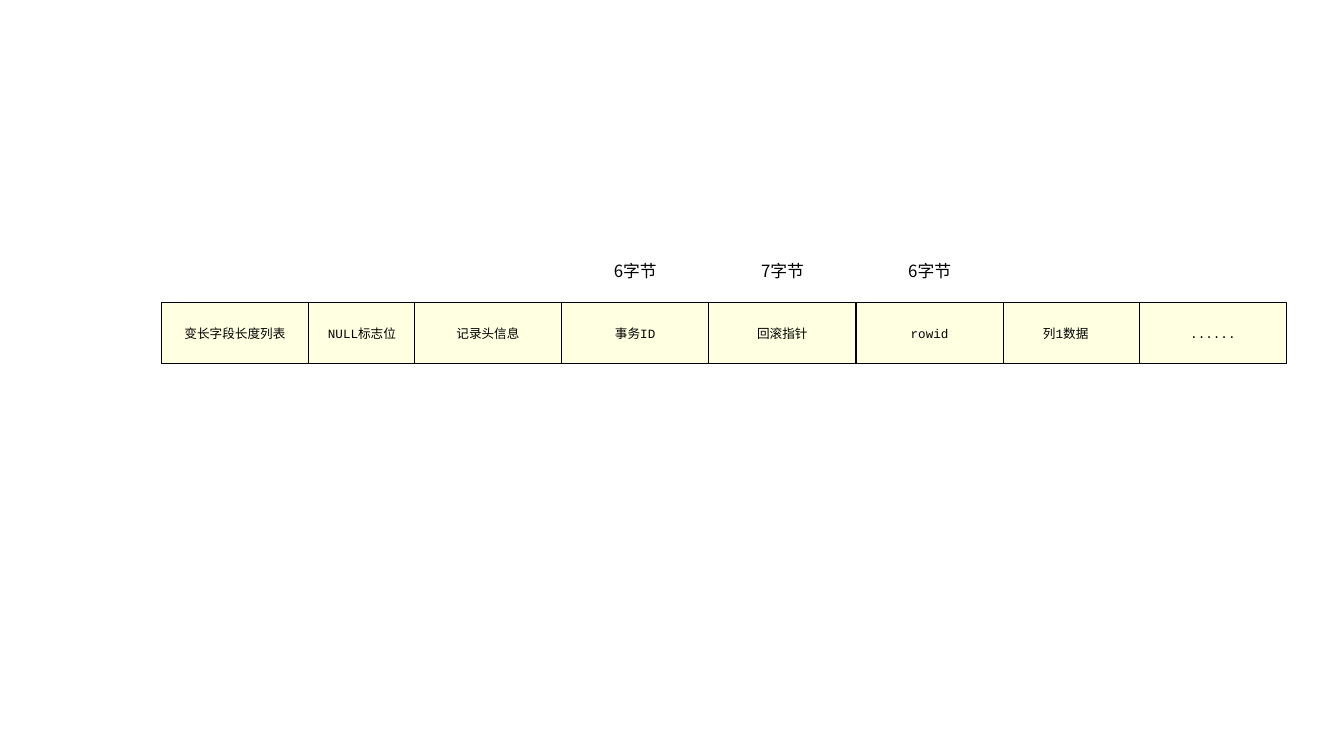
from pptx import Presentation
from pptx.dml.color import RGBColor
from pptx.enum.shapes import MSO_SHAPE
from pptx.enum.text import MSO_ANCHOR, MSO_AUTO_SIZE, PP_ALIGN
from pptx.oxml.ns import qn
from pptx.util import Inches, Pt
from lxml.etree import SubElement

COLORS = {"field": "FFFFE1", "ink": "000000"}
CJK_FONT = "Noto Sans CJK SC"
FIELD_WIDTH = 1.46
FLAG_WIDTH = 1.06
FIELD_TOP = 3
FIELD_HEIGHT = 0.61
LABEL_OFFSET = 0.42

FIELDS = [
    ("变长字段长度列表", 1.6, FIELD_WIDTH, None),
    ("NULL标志位", 3.06, FLAG_WIDTH, None),
    ("记录头信息", 4.11, FIELD_WIDTH, None),
    ("事务ID", 5.57, FIELD_WIDTH, "6字节"),
    ("回滚指针", 7.03, FIELD_WIDTH, "7字节"),
    ("列1数据", 9.84, FIELD_WIDTH, None),
    ("......", 11.3, FIELD_WIDTH, None),
    ("rowid", 8.49, FIELD_WIDTH, "6字节"),
]


def color(name):
    return RGBColor.from_string(COLORS[name])


def write_text(shape, text, *, size, font, align, anchor):
    frame = shape.text_frame
    frame.word_wrap = True
    frame.vertical_anchor = anchor
    paragraph = frame.paragraphs[0]
    paragraph.alignment = align
    run = paragraph.add_run()
    run.text = text
    run.font.size = Pt(size)
    run.font.name = font
    run.font.color.rgb = color("ink")
    east_asian = SubElement(run.font._element, qn("a:ea"))
    east_asian.set("typeface", CJK_FONT)


def add_field(slide, text, left, width):
    shape = slide.shapes.add_shape(
        MSO_SHAPE.RECTANGLE, Inches(left), Inches(FIELD_TOP), Inches(width), Inches(FIELD_HEIGHT)
    )
    shape.shadow.inherit = False
    shape.fill.solid()
    shape.fill.fore_color.rgb = color("field")
    shape.line.color.rgb = color("ink")
    shape.line.width = Pt(0.75)
    write_text(shape, text, size=9, font="Courier New",
               align=PP_ALIGN.CENTER, anchor=MSO_ANCHOR.MIDDLE)


def add_size_label(slide, text, left):
    label = slide.shapes.add_textbox(Inches(left), Inches(2.54), Inches(0.63), Inches(0.3))
    write_text(label, text, size=12, font=CJK_FONT,
               align=PP_ALIGN.LEFT, anchor=MSO_ANCHOR.TOP)
    label.text_frame.auto_size = MSO_AUTO_SIZE.SHAPE_TO_FIT_TEXT


def main():
    presentation = Presentation()
    presentation.slide_width = Inches(13.33)
    presentation.slide_height = Inches(7.5)
    slide = presentation.slides.add_slide(presentation.slide_layouts[6])
    for text, left, width, size_label in FIELDS:
        add_field(slide, text, left, width)
        if size_label:
            add_size_label(slide, size_label, left + LABEL_OFFSET)
    presentation.save("out.pptx")


main()
